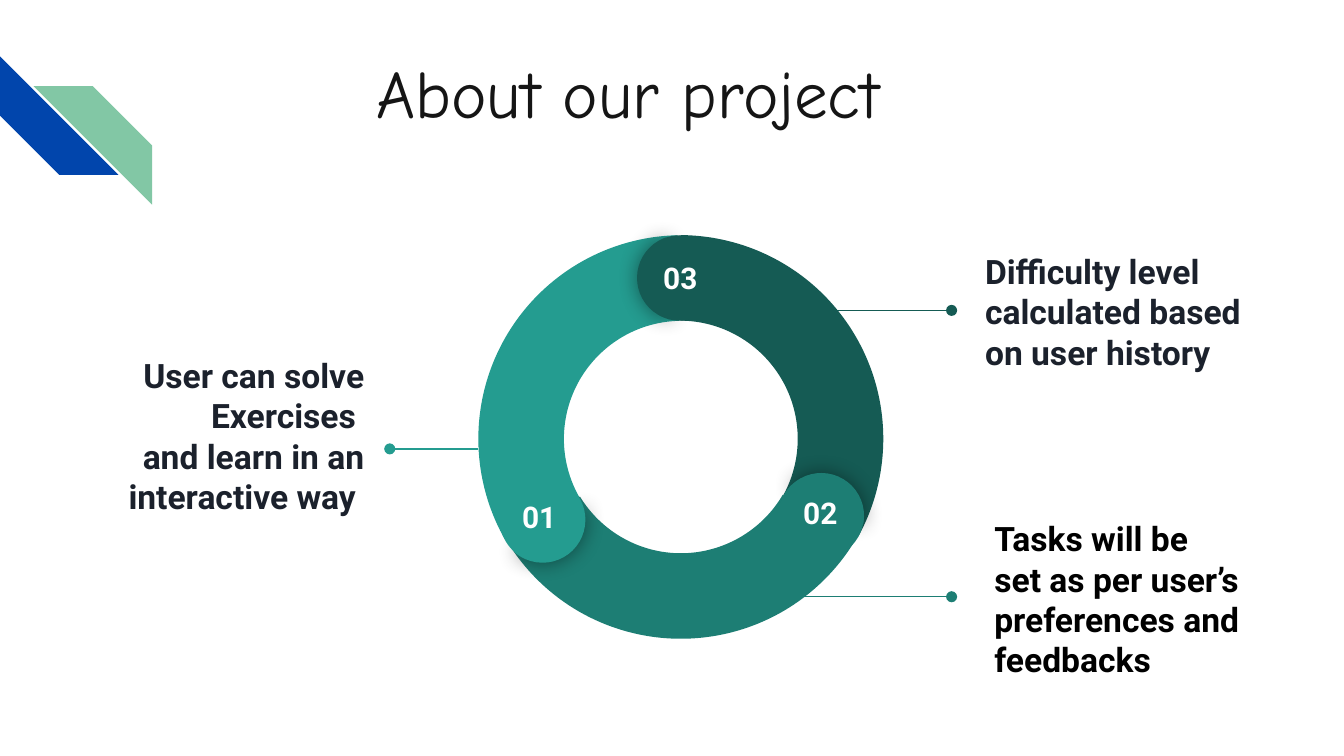
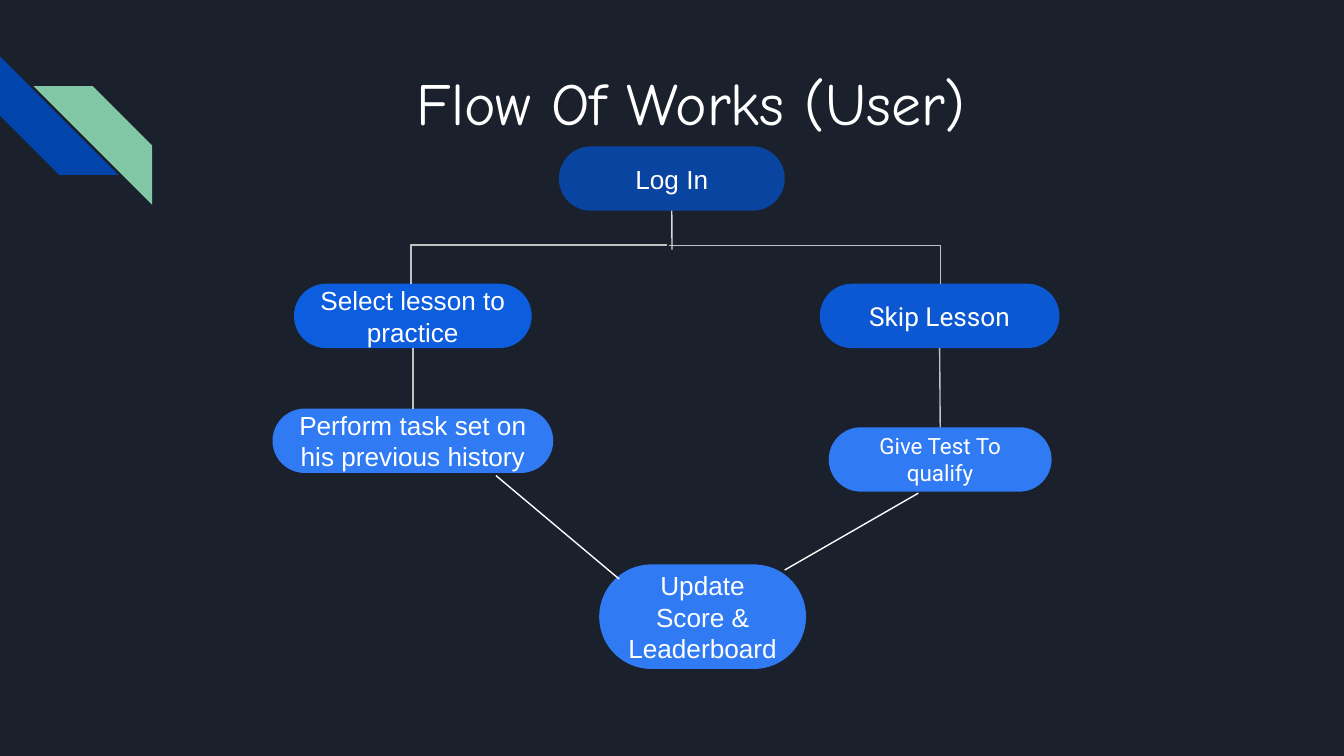
from lxml.etree import SubElement
from pptx import Presentation
from pptx.dml.color import RGBColor
from pptx.enum.shapes import MSO_CONNECTOR as CONN, MSO_SHAPE as SHAPE
from pptx.enum.text import MSO_ANCHOR as ANCHOR, MSO_AUTO_SIZE as AUTO, PP_ALIGN as ALIGN
from pptx.oxml.ns import qn
from pptx.util import Pt

WHITE, NAVY, BLACK = "FFFFFF", "1B212C", "000000"
BLUE, GREEN = "0145AC", "82C7A5"
TEAL_DARK, TEAL_MID, TEAL_LIGHT = "155B54", "1D7E74", "249C90"
LOGIN_BLUE, SKIP_BLUE, LESSON_BLUE, TASK_BLUE = "0944A1", "0C58D3", "0D5DDF", "307BF3"
GREY, TRUNK_GREY = "C2C2C2", "D9D9D9"
TITLE_FONT = "Comic Neue"


def paint(fmt, color):
    fmt.solid()
    fmt.fore_color.rgb = RGBColor.from_string(color)


def put_text(sp, text, size=14, font="Roboto", color=WHITE, bold=False,
             align=ALIGN.LEFT, anchor=ANCHOR.MIDDLE, inset=(7.2, 7.2, 7.2, 7.2)):
    tf = sp.text_frame
    tf.word_wrap = True
    tf.auto_size = AUTO.NONE
    tf.vertical_anchor = anchor
    tf.margin_left, tf.margin_top, tf.margin_right, tf.margin_bottom = map(Pt, inset)
    for i, line in enumerate(text.split("\n")):
        p = tf.add_paragraph() if i else tf.paragraphs[0]
        p.alignment = align
        r = p.add_run()
        r.text = line
        r.font.name, r.font.size, r.font.bold = font, Pt(size), bold
        r.font.color.rgb = RGBColor.from_string(color)


def add_box(slide, box):
    return slide.shapes.add_textbox(*map(Pt, box))


def add_shape(slide, kind, box, color, rotation=0, adjust=()):
    sp = slide.shapes.add_shape(kind, *map(Pt, box))
    sp.shadow.inherit = False
    paint(sp.fill, color)
    sp.line.fill.background()
    sp.rotation = rotation % 360
    for i, value in enumerate(adjust):
        sp.adjustments[i] = value
    return sp


def add_line(slide, x1, y1, x2, y2, color, kind=CONN.STRAIGHT):
    line = slide.shapes.add_connector(kind, *map(Pt, (x1, y1, x2, y2)))
    paint(line.line.fill, color)
    line.line.width = Pt(0.75)
    SubElement(line._element.spPr, qn("a:effectLst"))
    return line


def add_glow(sp):
    effects = sp._element.spPr.find(qn("a:effectLst"))
    shadow = SubElement(effects, qn("a:outerShdw"), blurRad=str(Pt(11.2)),
                        dist="0", dir="0", algn="ctr", rotWithShape="0")
    clr = SubElement(shadow, qn("a:srgbClr"), val=BLACK)
    SubElement(clr, qn("a:alpha"), val="43000")


def add_stripes(slide, x, y):
    stripes = [
        add_shape(slide, SHAPE.DIAGONAL_STRIPE, (x, y, 63.5, 63.5), BLUE, 270, [0.5]),
        add_shape(slide, SHAPE.DIAGONAL_STRIPE, (x + 18, y + 16, 63.5, 63.5), GREEN, 90, [0.5]),
    ]
    for i, sp in enumerate(stripes):
        sp._element.nvSpPr.cNvPr.set("id", str(20 + i))
        slide.slide_layout.shapes._spTree.append(sp._element)


def add_slide(prs, layout, background):
    slide = prs.slides.add_slide(layout)
    paint(slide.background.fill, background)
    return slide


def add_title(slide, box, text, size, color):
    title = slide.shapes.title
    title.left, title.top, title.width, title.height = map(Pt, box)
    put_text(title, text, size=size, font=TITLE_FONT, color=color,
             anchor=ANCHOR.TOP, inset=(7.2, 3.6, 7.2, 3.6))


def add_callout(slide, box, text, leader, leader_color, **fmt):
    x, y = box[:2]
    start, end, drop = leader
    put_text(add_box(slide, box), text, size=18, bold=True, **fmt)
    line = add_line(slide, x + start, y + drop, x + end, y + drop, leader_color)
    SubElement(line.line._get_or_add_ln(), qn("a:tailEnd"), type="oval")


def add_ring(slide, x, y, size):
    cap = size * 0.21
    segments = [
        ("03 ", TEAL_DARK, 0, (0, 2), (86.3, 2), (5, 5.8)),
        ("02 ", TEAL_MID, 120, (0.6, 0), (162, 129.4), (4.3, 4.3)),
        ("01 ", TEAL_LIGHT, 240, (1.3, 2), (12.8, 131.6), (2.9, 4.3)),
    ]
    for _, color, turn, (dx, dy), _, _ in segments:
        add_shape(slide, SHAPE.BLOCK_ARC, (x + dx, y + dy, size, size), color,
                  turn + 60, [126.23, 197.2, 0.21])
    for number, color, turn, _, (dx, dy), (tx, ty) in segments:
        box = (x + dx, y + dy, cap, cap)
        add_glow(add_shape(slide, SHAPE.PIE, box, color, turn + 0.6, [61.9, 149.96]))
        add_shape(slide, SHAPE.PIE, box, color, turn + 180, [40.28, 171.84])
        label = add_box(slide, (box[0] + tx, box[1] + ty, 40.3, 20.9))
        put_text(label, number, size=16, bold=True, align=ALIGN.CENTER, anchor=ANCHOR.TOP)


def add_node(slide, box, text, color, **fmt):
    sp = add_shape(slide, SHAPE.ROUNDED_RECTANGLE, box, color, adjust=[0.5])
    put_text(sp, text, align=ALIGN.CENTER, **fmt)
    return sp


def add_branch(slide, x1, y1, x2, y2):
    line = add_line(slide, x1, y1, x2, y2, GREY, CONN.ELBOW)
    guides = line._element.spPr.find(qn("a:prstGeom")).get_or_add_avLst()
    SubElement(guides, qn("a:gd"), name="adj1", fmla="val 100000")


def add_flow(slide, x, y):
    def node(dx, dy, w, text, color, h=46.5 - 12, **fmt):
        return add_node(slide, (x + dx, y + dy, w, h), text, color, **fmt)

    def link(upper, lower):
        line = add_line(slide, x, y, x, y, GREY)
        line.begin_connect(upper, 2)
        line.end_connect(lower, 0)

    arial = {"font": "Arial"}
    login = node(153.4, 0, 121, "Log In", LOGIN_BLUE, **arial)
    skip = node(293.2, 73.6, 128.4, "Skip Lesson", SKIP_BLUE)
    lesson = node(11.5, 73.6, 127.4, "Select lesson to practice", LESSON_BLUE, **arial)
    task = node(0, 140.5, 150.4, "Perform task set on his previous history", TASK_BLUE, **arial)
    node(175, 224, 110.8, "Update Score & Leaderboard", TASK_BLUE, h=56, **arial)
    test = node(298, 150.5, 119.4, "Give Test To qualify", TASK_BLUE, size=12)

    add_branch(slide, x + 212.4, y + 53.2, x + 357.8, y + 73.6)
    add_branch(slide, x + 211.4, y + 52.8, x + 74.2, y + 73.6)
    link(lesson, task)
    link(skip, test)
    add_line(slide, x + 185.7, y + 231.8, x + 119.7, y + 176.4, WHITE)
    add_line(slide, x + 274.4, y + 227, x + 346, y + 185.8, WHITE)
    trunk = add_line(slide, x + 214, y + 55.4, x + 214, y + 34.5, TRUNK_GREY)
    trunk.end_connect(login, 2)


def build_about(slide):
    add_title(slide, (194.4, 23.8, 391.7, 42.5), "About our project", 36, "151515")
    add_callout(slide, (18, 188.6, 184.3, 101.5),
                "User can solve\nExercises \nand learn in an interactive way ",
                (238.3, 190.8, 51.9), TEAL_LIGHT, color=NAVY, align=ALIGN.RIGHT,
                inset=(7.2, 0, 7.2, 12))
    add_callout(slide, (520.6, 116, 167, 101.5),
                "Difficulty level calculated based on user history",
                (-111.6, -10.8, 50.3), TEAL_DARK, color=NAVY)
    add_callout(slide, (525.6, 270, 167, 101.5),
                "Tasks will be\nset as per user’s\npreferences and feedbacks",
                (-116.6, -15.8, 49.7), TEAL_MID, color=BLACK)
    add_ring(slide, 255, 124, 218.2)


def build_flow(slide):
    add_title(slide, (216, 31.7, 352, 46), "Flow Of Works (User)", 32, WHITE)
    add_flow(slide, 146, 78.4)


def main():
    prs = Presentation()
    prs.slide_width, prs.slide_height = Pt(720), Pt(405)
    layout = prs.slide_layouts[5]
    about = add_slide(prs, layout, WHITE)
    add_stripes(about, 0, 30.2)
    build_about(about)
    build_flow(add_slide(prs, layout, NAVY))
    prs.save("out.pptx")


if __name__ == "__main__":
    main()
